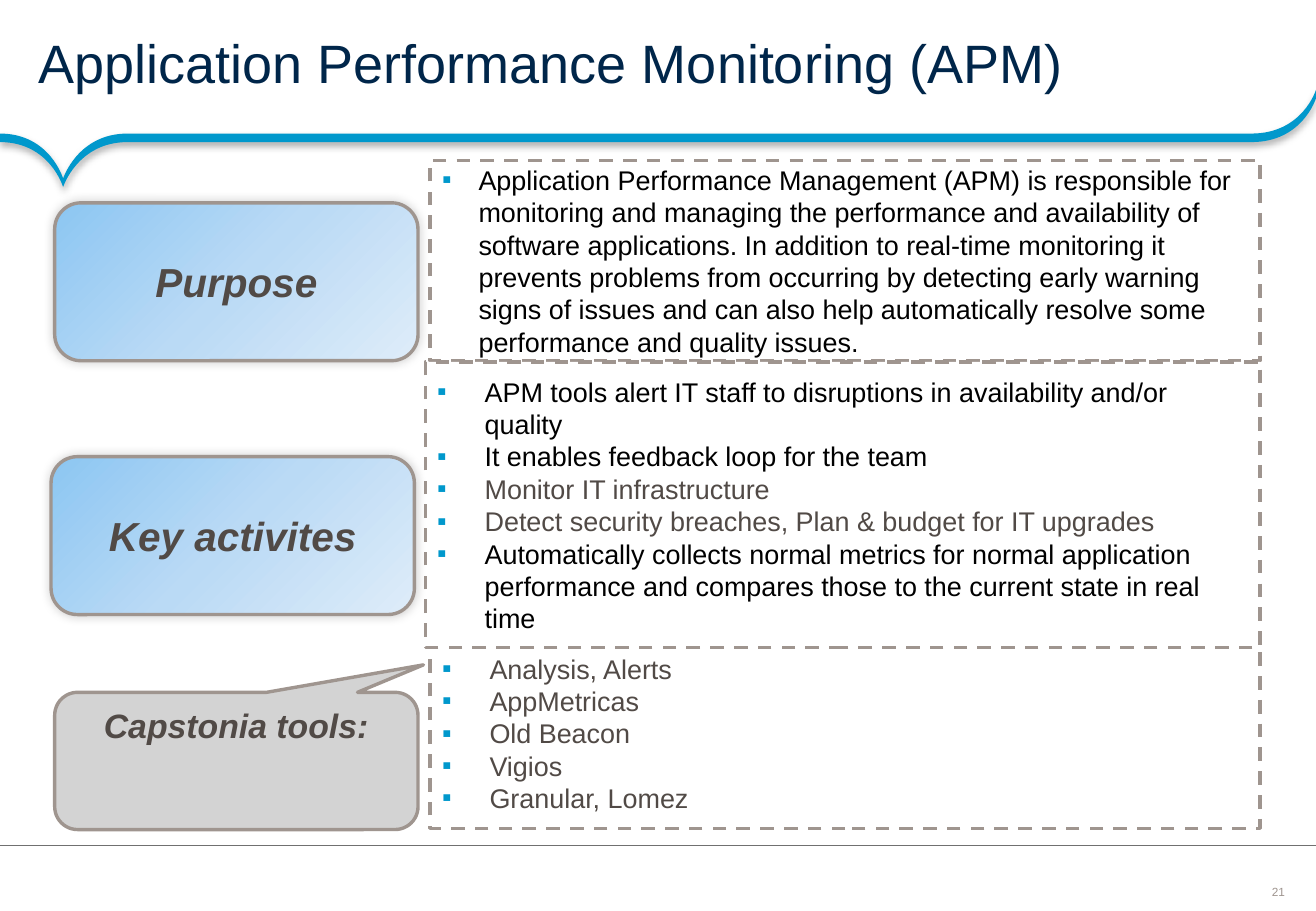
from copy import deepcopy

from pptx import Presentation
from pptx.dml.color import RGBColor
from pptx.enum import dml, shapes, text
from pptx.oxml import ns, xmlchemy
from pptx.util import Inches, Pt

FONT = "Arial"
NAVY = RGBColor(0x00, 0x26, 0x4A)
BLUE = RGBColor(0x00, 0x98, 0xCC)
TAUPE = RGBColor(0x9F, 0x95, 0x8F)
BROWN = RGBColor(0x51, 0x4A, 0x46)
BLACK = RGBColor(0x00, 0x00, 0x00)
WHITE = RGBColor(0xFF, 0xFF, 0xFF)
SILVER = RGBColor(0xD3, 0xD3, 0xD3)
RULE_GRAY = RGBColor(0x70, 0x70, 0x70)
LABEL_GRADIENT = (RGBColor(0x8C, 0xC6, 0xF2), RGBColor(0xBA, 0xDA, 0xF5),
                  RGBColor(0xDE, 0xEC, 0xF9))

SLIDE_WIDTH, SLIDE_HEIGHT = 10.83, 7.5
BAND_THICKNESS = 0.07

PURPOSE = [
    ("Application Performance Management (APM) is responsible for monitoring and "
     "managing the performance and availability of software applications. In addition "
     "to real-time monitoring it prevents problems from occurring by detecting early "
     "warning signs of issues and can also help automatically resolve some performance "
     "and quality issues.", BLACK),
]
ACTIVITIES = [
    ("APM tools alert IT staff to disruptions in availability and/or quality", BLACK),
    ("It enables feedback loop for the team", BLACK),
    ("Monitor IT infrastructure", BROWN),
    ("Detect security breaches, Plan & budget for IT upgrades", BROWN),
    ("Automatically collects normal metrics for normal application performance and "
     "compares those to the current state in real time", BLACK),
]
TOOLS = [(name, BROWN) for name in (
    "Analysis, Alerts", "AppMetricas", "Old Beacon", "Vigios", "Granular, Lomez")]


def add_run(paragraph, content, size, color, strong=False):
    run = paragraph.add_run()
    run.text = content
    run.font.name = FONT
    run.font.size = Pt(size)
    run.font.color.rgb = color
    run.font.bold = run.font.italic = strong


def add_child(parent, tag, **attributes):
    child = xmlchemy.OxmlElement(tag)
    for name, value in attributes.items():
        child.set(name, str(value))
    parent.append(child)
    return child


def add_shadow(shape, opacity, blur, distance, angle):
    shape.shadow.inherit = False
    effects = shape._element.spPr.find(ns.qn("a:effectLst"))
    shadow = add_child(effects, "a:outerShdw", blurRad=Pt(blur), dist=Pt(distance),
                       dir=angle * 60000, algn="ctr", rotWithShape=0)
    color = add_child(shadow, "a:srgbClr", val=BLACK)
    add_child(color, "a:alpha", val=opacity * 1000)


def add_bullet(paragraph, indent):
    properties = paragraph._p.get_or_add_pPr()
    properties.set("marL", str(Inches(indent)))
    properties.set("indent", str(-Inches(indent)))
    add_child(add_child(properties, "a:buClr"), "a:srgbClr", val=BLUE)
    add_child(properties, "a:buFont", typeface=FONT)
    add_child(properties, "a:buChar", char="▪")


def add_outlined_shape(slide, kind, left, top, width, height):
    shape = slide.shapes.add_shape(
        kind, Inches(left), Inches(top), Inches(width), Inches(height))
    shape.shadow.inherit = False
    shape.line.color.rgb = TAUPE
    shape.line.width = Pt(2)
    return shape


def add_list_box(slide, left, top, width, height, items, indent, spacing=0):
    box = add_outlined_shape(
        slide, shapes.MSO_SHAPE.RECTANGLE, left, top, width, height)
    box.fill.solid()
    box.fill.fore_color.rgb = WHITE
    box.line.dash_style = dml.MSO_LINE.DASH
    frame = box.text_frame
    frame.word_wrap = True
    frame.vertical_anchor = text.MSO_ANCHOR.MIDDLE
    for index, (content, color) in enumerate(items):
        paragraph = frame.add_paragraph() if index else frame.paragraphs[0]
        paragraph.alignment = text.PP_ALIGN.LEFT
        paragraph.space_before = paragraph.space_after = Pt(spacing)
        add_bullet(paragraph, indent)
        add_run(paragraph, content, 16, color)


def add_label(slide, kind, left, top, height, content, size, anchor):
    label = add_outlined_shape(slide, kind, left, top, 2.99, height)
    label.text_frame.word_wrap = True
    label.text_frame.vertical_anchor = anchor
    paragraph = label.text_frame.paragraphs[0]
    paragraph.alignment = text.PP_ALIGN.CENTER
    add_run(paragraph, content, size, BROWN, strong=True)
    return label


def add_heading_label(slide, left, top, content):
    label = add_label(slide, shapes.MSO_SHAPE.ROUNDED_RECTANGLE, left, top, 1.3,
                      content, 24, text.MSO_ANCHOR.MIDDLE)
    label.fill.gradient()
    label.fill.gradient_angle = 315
    stops = label._element.spPr.find(ns.qn("a:gradFill")).find(ns.qn("a:gsLst"))
    stops.insert(1, deepcopy(stops[0]))
    for index, color in enumerate(LABEL_GRADIENT):
        stop = label.fill.gradient_stops[index]
        stop.color.rgb = color
        stop.position = index / 2
    add_shadow(label, 20, 6, 0, 225)


def add_tools_callout(slide):
    callout = add_label(slide, shapes.MSO_SHAPE.ROUNDED_RECTANGULAR_CALLOUT, 0.45, 5.7,
                        1.13, "Capstonia tools:", 20, text.MSO_ANCHOR.TOP)
    callout.fill.solid()
    callout.fill.fore_color.rgb = SILVER
    for index, value in enumerate((0.515, -0.7, 0.167)):
        callout.adjustments[index] = value


def bend_segment(segment, controls, shape):
    """Turn a straight freeform segment into a cubic curve."""
    curve = xmlchemy.OxmlElement("a:cubicBezTo")
    for x, y in controls:
        add_child(curve, "a:pt", x=Inches(x) - shape.left, y=Inches(y) - shape.top)
    curve.append(segment[0])
    segment.getparent().replace(segment, curve)


def add_header_band(slide):
    # Upper edge: every third point is on the outline, the others are curve controls
    start, tip, shoulder = (0, 1.1), (0.52, 1.47), (1.05, 1.1)
    bend, corner = (10.3, 1.1), (SLIDE_WIDTH, 0.74)
    upper = [start, (0.41, 1.1), tip, tip, tip, (0.64, 1.1), shoulder,
             shoulder, bend, bend, (10.72, 1.1), corner, corner]
    lower = [(x, y + BAND_THICKNESS) for x, y in reversed(upper)]
    points = upper + [upper[-1], lower[0]] + lower
    anchors = [(Inches(x), Inches(y)) for x, y in points[::3]]
    builder = slide.shapes.build_freeform(*anchors[0])
    builder.add_line_segments(anchors[1:], close=True)
    band = builder.convert_to_shape()
    segments = list(band._element.spPr.iter(ns.qn("a:lnTo")))
    for index, segment in enumerate(segments[:len(anchors) - 1]):
        bend_segment(segment, points[3 * index + 1:3 * index + 3], band)
    band.fill.solid()
    band.fill.fore_color.rgb = BLUE
    band.line.fill.background()
    add_shadow(band, 31, 4, 2, 90)


def add_footer(slide):
    rule = slide.shapes.add_connector(shapes.MSO_CONNECTOR.STRAIGHT, Inches(SLIDE_WIDTH),
                                      Inches(6.96), Inches(0), Inches(6.96))
    rule.line.color.rgb = RULE_GRAY
    rule.line.width = Pt(0.75)
    add_child(rule._element.spPr, "a:effectLst")

    number = slide.shapes.add_textbox(
        Inches(10.46), Inches(7.28), Inches(0.12), Inches(0.12))
    frame = number.text_frame
    frame.word_wrap = False
    frame.vertical_anchor = text.MSO_ANCHOR.MIDDLE
    frame.margin_left = frame.margin_right = frame.margin_top = frame.margin_bottom = 0
    frame.paragraphs[0].alignment = text.PP_ALIGN.CENTER
    add_run(frame.paragraphs[0], "21", 7, TAUPE)


def set_title(slide, content):
    title = slide.shapes.title
    title.left = title.top = Inches(0)
    title.width, title.height = Inches(SLIDE_WIDTH), Inches(1.1)
    frame = title.text_frame
    frame.word_wrap = True
    frame.auto_size = text.MSO_AUTO_SIZE.NONE
    frame.vertical_anchor = text.MSO_ANCHOR.MIDDLE
    frame.margin_left, frame.margin_right = Inches(0.32), Inches(0.18)
    frame.margin_top = frame.margin_bottom = Inches(0.04)
    paragraph = frame.paragraphs[0]
    paragraph.alignment = text.PP_ALIGN.LEFT
    paragraph.line_spacing = 0.85
    add_run(paragraph, content, 32, NAVY)


def main():
    presentation = Presentation()
    presentation.slide_width = Inches(SLIDE_WIDTH)
    presentation.slide_height = Inches(SLIDE_HEIGHT)
    slide = presentation.slides.add_slide(presentation.slide_layouts[5])

    # Header and footer
    set_title(slide, "Application Performance Monitoring (APM)")
    add_header_band(slide)
    add_footer(slide)

    # Lists, with the tools box behind the other two
    add_list_box(slide, 3.54, 5.25, 6.83, 1.57, TOOLS, 0.39)
    add_list_box(slide, 3.54, 1.32, 6.83, 1.65, PURPOSE, 0.3, spacing=3)
    add_list_box(slide, 3.5, 2.98, 6.87, 2.35, ACTIVITIES, 0.39)

    # Labels
    add_heading_label(slide, 0.45, 1.67, "Purpose")
    add_heading_label(slide, 0.42, 3.76, "Key activites")
    add_tools_callout(slide)

    presentation.save("out.pptx")


if __name__ == "__main__":
    main()
